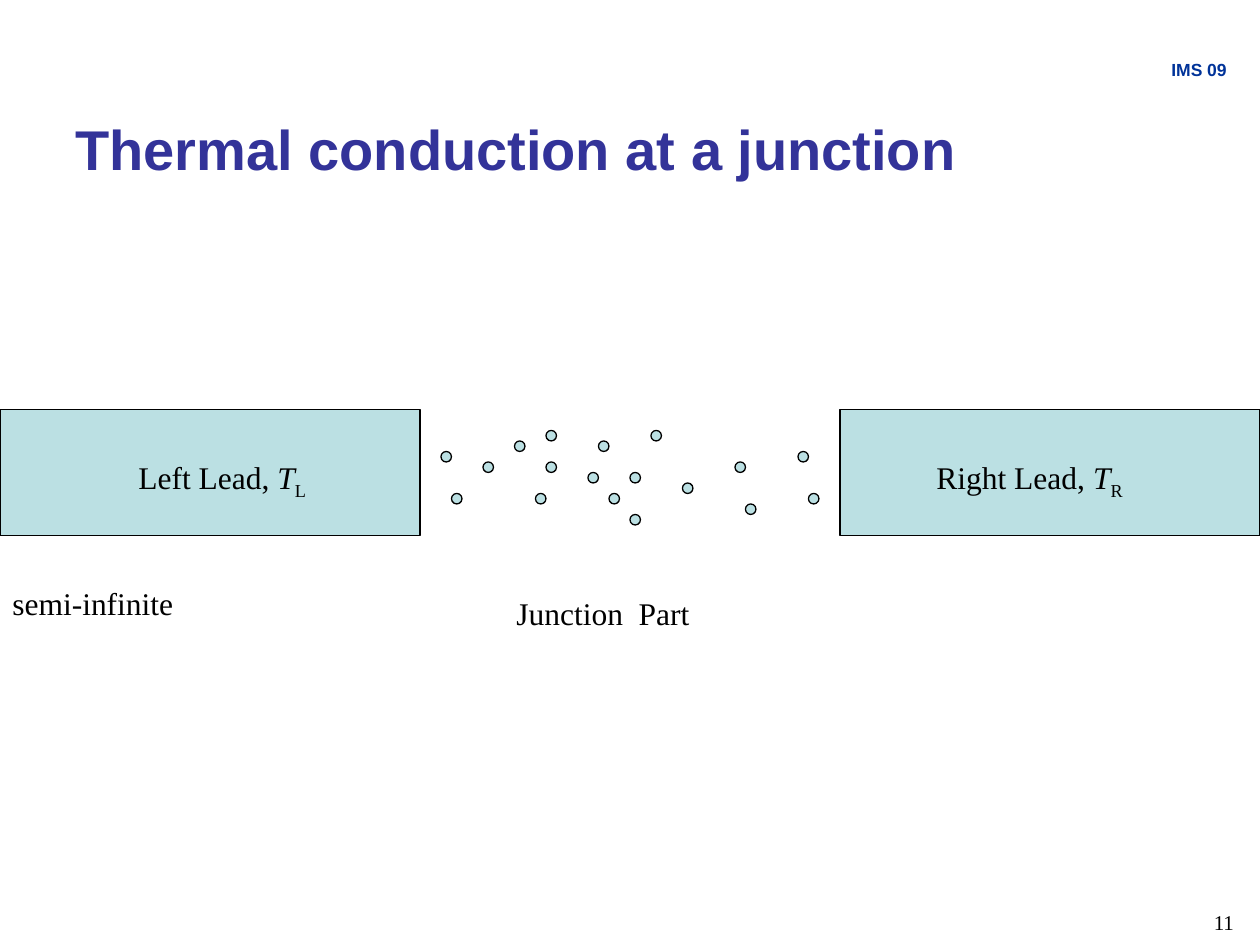
from pptx import Presentation
from pptx.dml.color import RGBColor
from pptx.enum.shapes import MSO_SHAPE
from pptx.enum.text import MSO_ANCHOR, PP_ALIGN
from pptx.util import Inches, Pt

RECTANGLE, OVAL = MSO_SHAPE.RECTANGLE, MSO_SHAPE.OVAL
LEFT, RIGHT = PP_ALIGN.LEFT, PP_ALIGN.RIGHT
TOP, MIDDLE = MSO_ANCHOR.TOP, MSO_ANCHOR.MIDDLE

CELLS_PER_INCH = 12
COLUMNS, ROWS = 120, 90
SERIF, SANS = "Times New Roman", "Arial"
BLACK, PALE_TEAL, NAVY, INDIGO = "000000", "BBE0E3", "003399", "333399"

LEAD_WIDTH, LEAD_HEIGHT, LEAD_TOP = 40, 12, 39
# Column and row of each junction atom
ATOMS = [
    (52, 41), (52, 44), (56, 45), (60, 45), (58, 47), (60, 49),
    (62, 41), (65, 46), (70, 44), (71, 48), (76, 43), (77, 47),
    (42, 43), (43, 47), (51, 47), (46, 44), (57, 42), (49, 42),
]


def color(hex_string):
    return RGBColor.from_string(hex_string)


def grid(*cells):
    """Turn grid cells into lengths."""
    return [Inches(cell / CELLS_PER_INCH) for cell in cells]


def add_outlined(slide, kind, column, row, width, height):
    shape = slide.shapes.add_shape(kind, *grid(column, row, width, height))
    shape.shadow.inherit = False
    shape.fill.solid()
    shape.fill.fore_color.rgb = color(PALE_TEAL)
    shape.line.color.rgb = color(BLACK)
    shape.line.width = Pt(0.75)


def add_text(slide, text, box, size=18, font_name=SERIF, hex_color=BLACK,
             bold=False, align=LEFT, anchor=TOP):
    """Add a one-paragraph text box and return its paragraph."""
    frame = slide.shapes.add_textbox(*grid(*box)).text_frame
    frame.word_wrap = True
    frame.vertical_anchor = anchor
    paragraph = frame.paragraphs[0]
    paragraph.alignment = align
    paragraph.add_run().text = text
    font = paragraph.font
    font.name, font.size, font.bold = font_name, Pt(size), bold
    font.color.rgb = color(hex_color)
    return paragraph


def add_lead(slide, column, label_column, name, subscript):
    """Add a lead with its name and temperature symbol."""
    add_outlined(slide, RECTANGLE, column, LEAD_TOP, LEAD_WIDTH, LEAD_HEIGHT)
    paragraph = add_text(slide, f"{name} Lead, ", (label_column, 43, 21, 5.3))
    symbol = paragraph.add_run()
    symbol.text = "T"
    symbol.font.italic = True
    index = paragraph.add_run()
    index.text = subscript
    index._r.get_or_add_rPr().set("baseline", "-25000")


def main():
    presentation = Presentation()
    presentation.slide_width, presentation.slide_height = grid(COLUMNS, ROWS)
    slide = presentation.slides.add_slide(presentation.slide_layouts[6])

    add_text(slide, "IMS 09", (2, 5, 116, 3.2), 10, SANS, NAVY, True, RIGHT)
    add_text(slide, "Thermal conduction at a junction", (6, 9, 108, 10.3),
             32, SANS, INDIGO, True, anchor=MIDDLE)

    add_lead(slide, 0, 12, "Left", "L")
    add_lead(slide, COLUMNS - LEAD_WIDTH, 88, "Right", "R")
    for column, row in ATOMS:
        add_outlined(slide, OVAL, column, row, 1, 1)

    add_text(slide, "Junction  Part", (48, 56, 24, 4.8))
    add_text(slide, "semi-infinite", (0, 55, 19, 4.8))
    add_text(slide, "11", (91, 86, 27.7, 6.6), 12, align=RIGHT)

    presentation.save("out.pptx")


if __name__ == "__main__":
    main()
